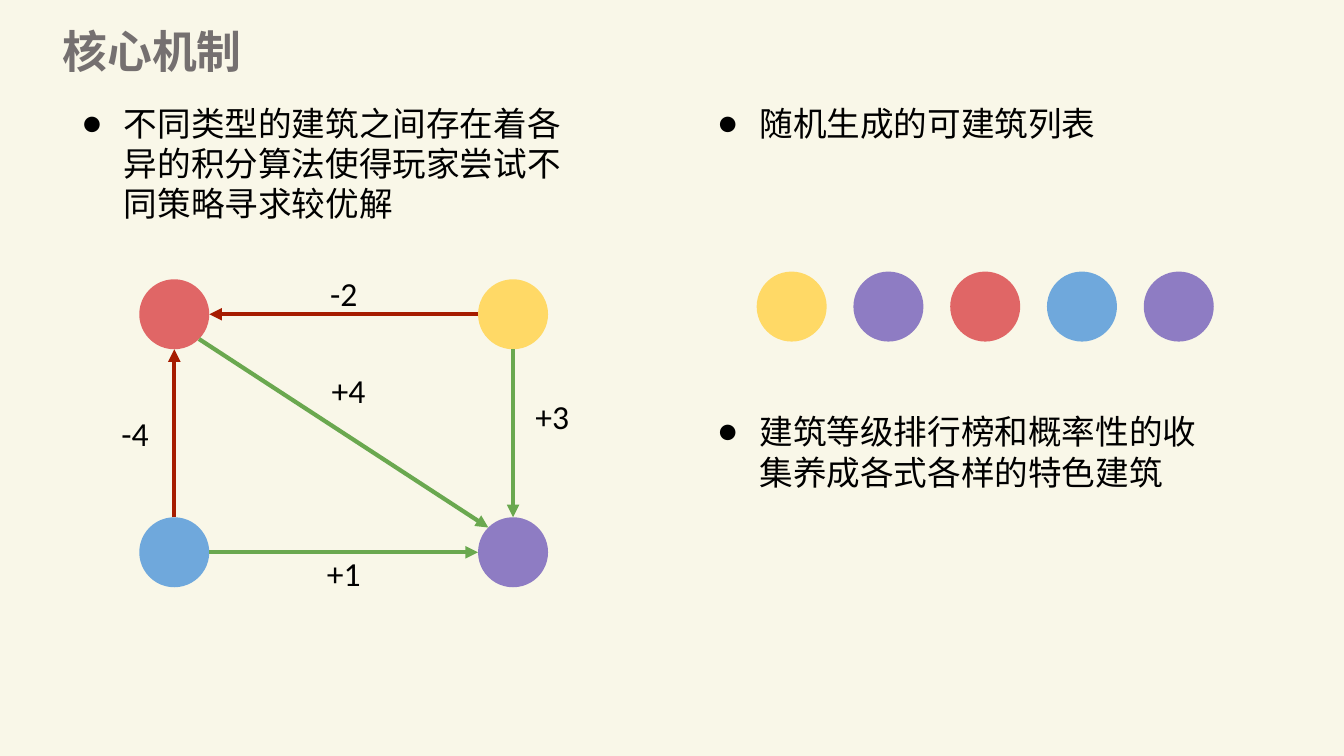
from dataclasses import dataclass
from math import cos, radians, sin

from lxml.etree import SubElement
from pptx import Presentation
from pptx.dml.color import RGBColor as RGB
from pptx.enum.shapes import MSO_CONNECTOR as CONN, MSO_SHAPE as SHAPE
from pptx.enum.text import MSO_ANCHOR as ANCHOR, PP_ALIGN as ALIGN
from pptx.oxml.ns import qn
from pptx.util import Pt


@dataclass(frozen=True)
class Theme:
    font: str = "Calibri"
    title_size: int = 32
    body_size: int = 24
    line_width: int = 3
    background: str = "F9F7E8"
    title: str = "757070"
    text: str = "000000"
    red: str = "E06666"
    yellow: str = "FFD966"
    blue: str = "6FA8DC"
    purple: str = "8E7CC3"
    penalty: str = "A61C00"
    bonus: str = "6AA84F"


THEME = Theme()
DOT = 50


def rgb(value):
    return RGB.from_string(value)


def add_text(shapes, box, text, size=THEME.body_size, color=THEME.text, bold=False, pad=7.2):
    sp = shapes.add_textbox(*map(Pt, box))
    tf = sp.text_frame
    tf.word_wrap = True
    tf.margin_left = tf.margin_right = Pt(7.2)
    tf.margin_top = tf.margin_bottom = Pt(pad)
    tf.text = text
    r = tf.paragraphs[0].runs[0]
    r.font.name, r.font.size, r.font.bold = THEME.font, Pt(size), bold
    r.font.color.rgb = rgb(color)
    SubElement(r.font._element, qn("a:ea"), typeface=THEME.font)
    return tf


def add_bullet(slide, box, text):
    tf = add_text(slide.shapes, box, text)
    pPr = tf.paragraphs[0]._p.get_or_add_pPr()
    pPr.set("marL", str(Pt(36)))
    pPr.set("indent", str(Pt(-30)))
    color = SubElement(pPr, qn("a:buClr"))
    SubElement(color, qn("a:srgbClr"), val=THEME.text)
    SubElement(pPr, qn("a:buFont"), typeface=THEME.font)
    SubElement(pPr, qn("a:buChar"), char="●")


def add_dot(shapes, left, top, color):
    sp = shapes.add_shape(SHAPE.OVAL, Pt(left), Pt(top), Pt(DOT), Pt(DOT))
    sp.shadow.inherit = False
    sp.fill.solid()
    sp.fill.fore_color.rgb = rgb(color)
    sp.line.fill.background()


def add_arrow(shapes, start, end, color):
    line = shapes.add_connector(CONN.STRAIGHT, *map(Pt, start + end))
    line.line.color.rgb = rgb(color)
    line.line.width = Pt(THEME.line_width)
    SubElement(line.line._get_or_add_ln(), qn("a:tailEnd"), type="triangle")
    SubElement(line._element.spPr, qn("a:effectLst"))


def rim(corner, angle):
    """Point on a dot's edge, with the angle clockwise from the right."""
    left, top = corner
    turn = radians(angle)
    return left + DOT / 2 * (1 + cos(turn)), top + DOT / 2 * (1 + sin(turn))


def add_score_graph(slide, box):
    left, top, width, height = box
    right, bottom = left + width - DOT, top + height - DOT
    corners = {
        THEME.red: (left, top),
        THEME.yellow: (right, top),
        THEME.blue: (left, bottom),
        THEME.purple: (right, bottom),
    }
    # source, leaving angle, target, arriving angle, color, score, label offset
    edges = [
        (THEME.yellow, 180, THEME.red, 0, THEME.penalty, "-2", (118, -5)),
        (THEME.blue, 270, THEME.red, 90, THEME.penalty, "-4", (-31, 95)),
        (THEME.yellow, 90, THEME.purple, 270, THEME.bonus, "+3", (267, 83)),
        (THEME.red, 45, THEME.purple, 225, THEME.bonus, "+4", (121.5, 64)),
        (THEME.blue, 0, THEME.purple, 180, THEME.bonus, "+1", (118, 195)),
    ]
    shapes = slide.shapes.add_group_shape().shapes
    for color, corner in corners.items():
        add_dot(shapes, *corner, color)
    for source, leave, target, arrive, color, score, (dx, dy) in edges:
        add_arrow(shapes, rim(corners[source], leave), rim(corners[target], arrive), color)
        tf = add_text(shapes, (left + dx, top + dy, 56, 30), score)
        tf.vertical_anchor = ANCHOR.MIDDLE
        tf.paragraphs[0].alignment = ALIGN.CENTER


def add_building_list(slide, box, colors):
    left, top, width, _ = box
    step = (width - DOT) / (len(colors) - 1)
    for i, color in enumerate(colors):
        add_dot(slide.shapes, left + i * step, top, color)


def build_mechanics_slide(prs):
    slide = prs.slides.add_slide(prs.slide_layouts[6])
    slide.background.fill.solid()
    slide.background.fill.fore_color.rgb = rgb(THEME.background)
    add_text(slide.shapes, (37.5, 13.5, 433.5, 46), "核心机制",
             THEME.title_size, THEME.title, bold=True, pad=3.6)
    add_bullet(slide, (45.5, 66, 377, 46),
               "不同类型的建筑之间存在着各异的积分算法使得玩家尝试不同策略寻求较优解")
    add_score_graph(slide, (99.5, 199.5, 292, 220))
    add_bullet(slide, (499.5, 66, 377, 46), "随机生成的可建筑列表")
    add_building_list(slide, (540.5, 194, 326.5, DOT),
                      [THEME.yellow, THEME.purple, THEME.red, THEME.blue, THEME.purple])
    add_bullet(slide, (499.5, 286.5, 377, 46),
               "建筑等级排行榜和概率性的收集养成各式各样的特色建筑")


def main():
    prs = Presentation()
    prs.slide_width, prs.slide_height = Pt(960), Pt(540)
    build_mechanics_slide(prs)
    prs.save("out.pptx")


if __name__ == "__main__":
    main()
